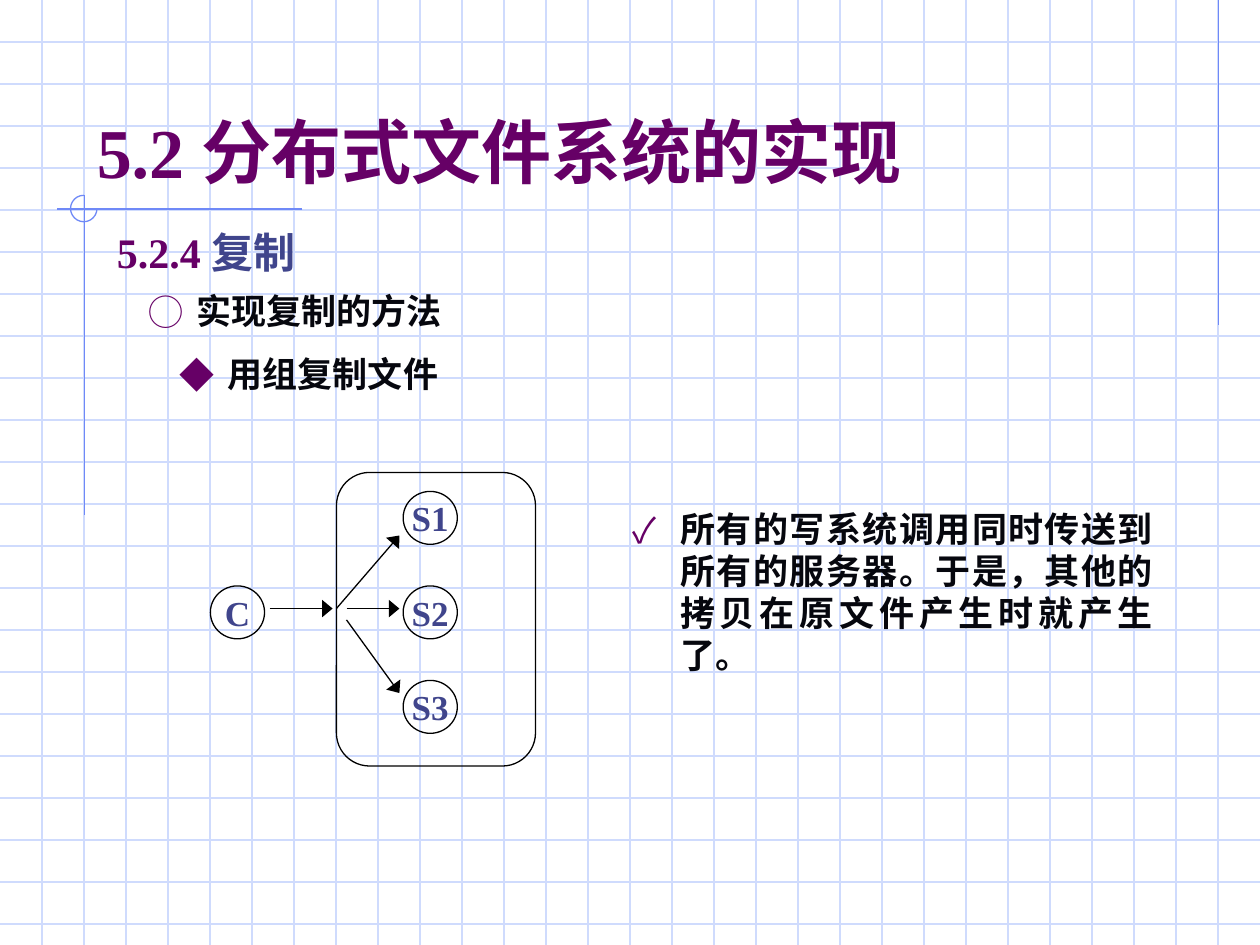
"""Build the slide on replicating files in a distributed file system."""
from dataclasses import dataclass
from typing import NamedTuple

from lxml.etree import SubElement
from pptx import Presentation
from pptx.dml.color import RGBColor as Rgb
from pptx.enum.shapes import MSO_CONNECTOR as Link, MSO_SHAPE as Preset
from pptx.enum.text import MSO_ANCHOR as Anchor, PP_ALIGN as Align
from pptx.oxml.ns import qn
from pptx.util import Inches, Pt


@dataclass(frozen=True)
class Theme:
    grid: str = "CFDBFD"
    ornament: str = "6F89F7"
    heading: str = "660066"
    accent: str = "40458C"
    body: str = "06070E"
    outline: str = "000000"
    serif: str = "Times New Roman"
    sans: str = "Montserrat"
    chinese: str = "Noto Sans CJK SC"
    title_size: int = 40
    section_size: int = 24
    body_size: int = 20
    line_width: float = 0.75


class Rect(NamedTuple):
    left: float
    top: float
    width: float
    height: float


class Line(NamedTuple):
    x1: float
    y1: float
    x2: float
    y2: float


class Node(NamedTuple):
    label: str
    left: float
    top: float


class Span(NamedTuple):
    text: str
    font: str
    color: str


class Item(NamedTuple):
    text: str
    bullet: str
    font: str
    rect: Rect


THEME = Theme()
STEP = 1 / 3
GRID = [Line(0, row * STEP, 10, row * STEP) for row in range(1, 23)] + [
    Line(column * STEP, 0, column * STEP, 7.5) for column in range(1, 30)
]
ORNAMENTS = [
    Line(9.67, 0, 9.67, 2.58),
    Line(2.4, 1.66, 0.45, 1.66),
    Line(0.67, 1.55, 0.67, 4.09),
]
TITLE = [
    Span("5.2 ", THEME.serif, THEME.heading),
    Span("分布式文件系统的实现", THEME.chinese, THEME.heading),
]
SECTION = [
    Span("5.2.4 ", THEME.serif, THEME.heading),
    Span("复制", THEME.sans, THEME.accent),
]
ITEMS = [
    Item("实现复制的方法", "◯", THEME.serif, Rect(1.08, 2.25, 8.25, 0.44)),
    Item("用组复制文件", "◆", THEME.sans, Rect(1.33, 2.75, 8, 0.84)),
    Item(
        "所有的写系统调用同时传送到所有的服务器。于是，其他的拷贝在原文件产生时就产生了。",
        "✓", THEME.sans, Rect(4.92, 3.98, 4.33, 1.1),
    ),
]
NODES = [Node("C", 1.67, 4.65)] + [
    Node(f"S{index + 1}", 3.2, 3.9 + 0.75 * index) for index in range(3)
]
ARROWS = [
    Line(2.14, 4.83, 2.64, 4.83),
    Line(2.67, 4.83, 3.17, 4.25),
    Line(2.75, 4.83, 3.17, 4.83),
    Line(2.75, 4.92, 3.17, 5.5),
]


def inches(rect: Rect | Line) -> list:
    """Turn plain numbers into lengths."""
    return [Inches(value) for value in rect]


def draw_line(page, line: Line, color: str, arrow: bool = False) -> None:
    """Draw a straight line, with an arrowhead at its end if asked."""
    link = page.shapes.add_connector(Link.STRAIGHT, *inches(line))
    link.line.color.rgb = Rgb.from_string(color)
    link.line.width = Pt(THEME.line_width)
    if arrow:
        SubElement(link.line._get_or_add_ln(), qn("a:tailEnd"), type="triangle", w="lg")
    SubElement(link._element.spPr, qn("a:effectLst"))


def draw_outline(page, preset: Preset, rect: Rect, color: str):
    """Draw an unfilled preset shape."""
    shape = page.shapes.add_shape(preset, *inches(rect))
    shape.shadow.inherit = False
    shape.fill.background()
    shape.line.color.rgb = Rgb.from_string(color)
    shape.line.width = Pt(THEME.line_width)
    return shape


def add_bullet(para, symbol: str) -> None:
    """Give a paragraph a coloured bullet and a hanging indent."""
    props = para._p.get_or_add_pPr()
    props.set("marL", str(Inches(0.38)))
    props.set("indent", str(Inches(-0.38)))
    props.set("hangingPunct", "0")
    color = SubElement(props, qn("a:buClr"))
    SubElement(color, qn("a:srgbClr"), val=THEME.heading)
    SubElement(props, qn("a:buFont"), typeface=THEME.chinese)
    SubElement(props, qn("a:buChar"), char=symbol)


def write(shape, spans: list[Span], *, size: int, align=Align.LEFT,
          anchor=Anchor.TOP, wrap: bool = True, bullet: str = "") -> None:
    """Write one bold paragraph of formatted spans into a shape."""
    frame = shape.text_frame
    frame.word_wrap = wrap
    frame.vertical_anchor = anchor
    para = frame.paragraphs[0]
    para.alignment = align
    if bullet:
        add_bullet(para, bullet)
    for span in spans:
        run = para.add_run()
        run.text = span.text
        run.font.size = Pt(size)
        run.font.bold = True
        run.font.name = span.font
        run.font.color.rgb = Rgb.from_string(span.color)
        east_asian = THEME.sans if span.font == THEME.serif else span.font
        SubElement(run._r.get_or_add_rPr(), qn("a:ea"), typeface=east_asian)


def draw_background(page) -> None:
    """Draw the squared paper and its corner ornaments."""
    for line in GRID:
        draw_line(page, line, THEME.grid)
    for line in ORNAMENTS:
        draw_line(page, line, THEME.ornament)
    arc = draw_outline(page, Preset.ARC, Rect(0.56, 1.55, 0.21, 0.21), THEME.ornament)
    arc.adjustments[0] = 0
    arc.adjustments[1] = 162


def draw_text(page) -> None:
    """Place the title, the section heading and the bulleted items."""
    title = page.shapes.add_textbox(*inches(Rect(0.67, 0.33, 8.5, 1.25)))
    write(title, TITLE, size=THEME.title_size, anchor=Anchor.BOTTOM)
    section = page.shapes.add_textbox(*inches(Rect(0.83, 1.75, 8.75, 0.5)))
    write(section, SECTION, size=THEME.section_size, align=Align.JUSTIFY)
    for item in ITEMS:
        box = page.shapes.add_textbox(*inches(item.rect))
        write(box, [Span(item.text, item.font, THEME.body)], size=THEME.body_size,
              align=Align.JUSTIFY, bullet=item.bullet)


def draw_diagram(page) -> None:
    """Draw the client, the server group and the calls between them."""
    for node in NODES:
        rect = Rect(node.left, node.top, 0.43, 0.42)
        circle = draw_outline(page, Preset.OVAL, rect, THEME.outline)
        write(circle, [Span(node.label, THEME.serif, THEME.accent)], size=THEME.body_size,
              align=Align.CENTER, anchor=Anchor.MIDDLE, wrap=False)
    draw_outline(page, Preset.ROUNDED_RECTANGLE, Rect(2.67, 3.75, 1.58, 2.33), THEME.outline)
    for arrow in ARROWS:
        draw_line(page, arrow, THEME.outline, arrow=True)


def main() -> None:
    """Build and save the deck."""
    deck = Presentation()
    deck.slide_width, deck.slide_height = Inches(10), Inches(7.5)
    page = deck.slides.add_slide(deck.slide_layouts[6])
    draw_background(page)
    draw_text(page)
    draw_diagram(page)
    deck.save("out.pptx")


if __name__ == "__main__":
    main()
